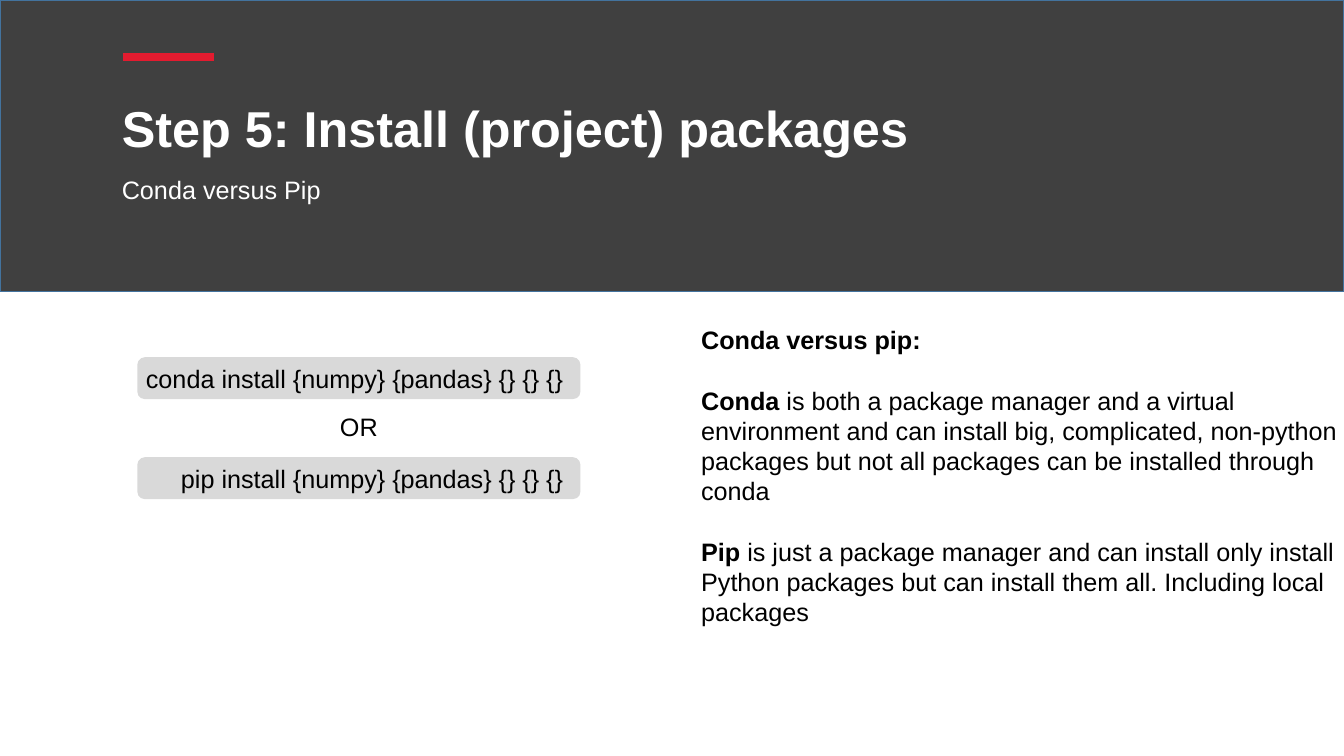
import pptx
import pptx.util
import pptx.dml.color
import pptx.enum.shapes
import pptx.enum.text
import lxml.etree

Cm = pptx.util.Cm
Pt = pptx.util.Pt
ANCHOR = pptx.enum.text.MSO_ANCHOR
ALIGN = pptx.enum.text.PP_ALIGN
SHAPE = pptx.enum.shapes.MSO_SHAPE
A = "http://schemas.openxmlformats.org/drawingml/2006/main"
COLORS = {"band": "404040", "band_line": "43739E", "accent": "E31B2F",
          "pill": "D9D9D9", "light": "FFFFFF", "dark": "000000"}


def rgb(name):
    return pptx.dml.color.RGBColor.from_string(COLORS[name])


def add_run(p, text, color="dark", size=18, bold=False):
    r = p.add_run()
    r.text = text
    r.font.name = "Arial"
    r.font.size = Pt(size)
    r.font.bold = bold
    r.font.color.rgb = rgb(color)


def set_frame(tf, anchor, left, top, right, bottom, wrap=True):
    tf.word_wrap = wrap
    tf.auto_size = pptx.enum.text.MSO_AUTO_SIZE.NONE
    tf.vertical_anchor = anchor
    tf.margin_left, tf.margin_top = Cm(left), Cm(top)
    tf.margin_right, tf.margin_bottom = Cm(right), Cm(bottom)


def place(sp, x, y, w, h):
    sp.left, sp.top, sp.width, sp.height = Cm(x), Cm(y), Cm(w), Cm(h)


def add_panel(s, kind, x, y, w, h, fill, line):
    sp = s.shapes.add_shape(kind, Cm(x), Cm(y), Cm(w), Cm(h))
    sp.shadow.inherit = False
    sp.fill.solid()
    sp.fill.fore_color.rgb = rgb(fill)
    sp.line.color.rgb = rgb(line)
    sp.line.width = Pt(1)
    return sp


def add_header(s, x, y, w, h, heading, subheading):
    band = add_panel(s, SHAPE.RECTANGLE, x, y, w, h, "band", "band_line")
    rule = s.shapes.add_connector(pptx.enum.shapes.MSO_CONNECTOR.STRAIGHT,
                                  Cm(x + 3.1), Cm(y + 1.43), Cm(x + 5.39), Cm(y + 1.43))
    rule.line.color.rgb = rgb("accent")
    rule.line.width = Pt(6)
    lxml.etree.SubElement(rule.element.spPr, f"{{{A}}}effectLst")

    title, body = s.shapes.title, s.placeholders[1]
    for sp in (band, rule):
        title.element.addprevious(sp.element)

    place(title, x + 3.07, y + 2.51, 25.27, 1.73)
    set_frame(title.text_frame, ANCHOR.MIDDLE, 0, 0, 0, 0.13)
    p = title.text_frame.paragraphs[0]
    p.alignment = ALIGN.LEFT
    p.line_spacing = 0.9
    add_run(p, heading, "light", 36, True)

    place(body, x + 3.07, y + 4.01, 25.27, 2.54)
    set_frame(body.text_frame, ANCHOR.TOP, 0, 0, 0, 0)
    p = body.text_frame.paragraphs[0]
    p.line_spacing = 1.5
    p.space_before = Pt(0)
    pPr = p._p.get_or_add_pPr()
    pPr.set("marL", "0")
    pPr.set("indent", "0")
    lxml.etree.SubElement(pPr, f"{{{A}}}buNone")
    add_run(p, subheading, "light")


def add_commands(s, x, y, w, commands, joiner):
    height, pitch = 1.02, 2.52
    for i, command in enumerate(commands):
        sp = add_panel(s, SHAPE.ROUNDED_RECTANGLE, x, y + i * pitch, w, height, "pill", "pill")
        set_frame(sp.text_frame, ANCHOR.MIDDLE, 0.25, 0.13, 0.36, 0.13, wrap=False)
        p = sp.text_frame.paragraphs[0]
        p.alignment = ALIGN.RIGHT
        add_run(p, command)
    tb = s.shapes.add_textbox(Cm(x), Cm(y + 1.22), Cm(w), Cm(height))
    set_frame(tb.text_frame, ANCHOR.TOP, 0.25, 0.13, 0.25, 0.13)
    p = tb.text_frame.paragraphs[0]
    p.alignment = ALIGN.CENTER
    add_run(p, joiner)


def add_comparison(s, x, y, w, h, entries):
    tb = s.shapes.add_textbox(Cm(x), Cm(y), Cm(w), Cm(h))
    tf = tb.text_frame
    set_frame(tf, ANCHOR.TOP, 0.25, 0.13, 0.25, 0.13)
    for i, (term, detail) in enumerate(entries):
        p = tf.add_paragraph() if i else tf.paragraphs[0]
        p.space_before = Pt(21.6 if i else 0)
        add_run(p, term, bold=True)
        if detail:
            add_run(p, detail)


def main():
    prs = pptx.Presentation()
    prs.slide_width, prs.slide_height = Cm(33.87), Cm(19.05)
    s = prs.slides.add_slide(prs.slide_layouts[1])
    add_header(s, 0, 0, 33.87, 7.34, "Step 5: Install (project) packages", "Conda versus Pip")
    add_commands(s, 3.48, 9.02, 11.13,
                 ["conda install {numpy} {pandas} {} {} {}",
                  "pip install {numpy} {pandas} {} {} {}"], "OR")
    add_comparison(s, 17.42, 8.05, 17.45, 7.95, [
        ("Conda versus pip:", ""),
        ("Conda", " is both a package manager and a virtual environment and can install big, "
                  "complicated, non-python packages but not all packages can be installed "
                  "through conda"),
        ("Pip", " is just a package manager and can install only install Python packages "
                "but can install them all. Including local packages"),
    ])
    prs.save("out.pptx")


if __name__ == "__main__":
    main()
